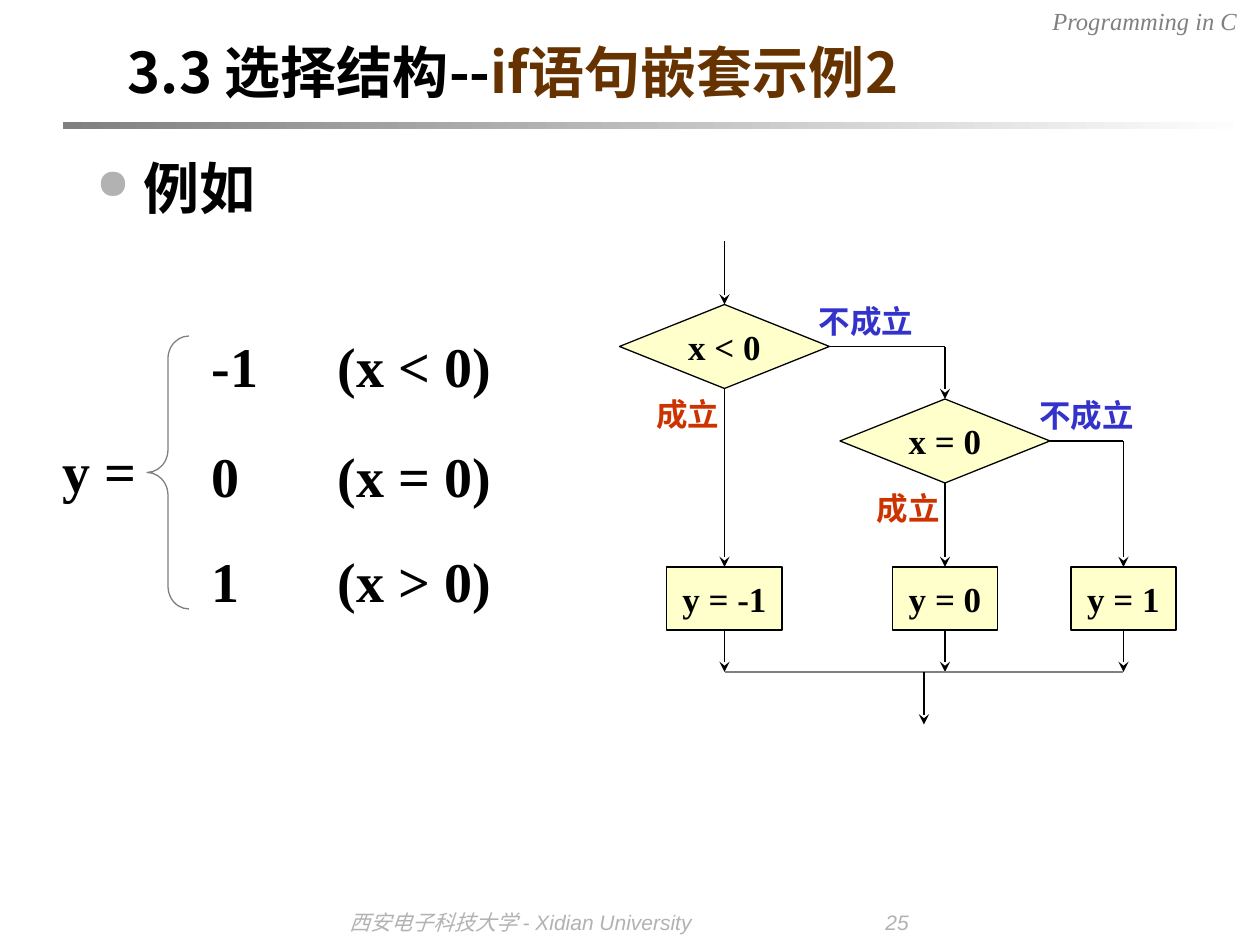
from dataclasses import dataclass

from lxml import etree
from pptx import Presentation
from pptx.dml.color import RGBColor
from pptx.enum.dml import MSO_THEME_COLOR
from pptx.enum.shapes import MSO_CONNECTOR, MSO_SHAPE
from pptx.enum.text import MSO_ANCHOR, PP_ALIGN
from pptx.oxml.ns import qn
from pptx.util import Pt

LEFT, MID, RIGHT = PP_ALIGN.LEFT, PP_ALIGN.CENTER, PP_ALIGN.RIGHT
CENTER = MSO_ANCHOR.MIDDLE
RECT, RHOMB, BRACE = MSO_SHAPE.RECTANGLE, MSO_SHAPE.DIAMOND, MSO_SHAPE.LEFT_BRACE
LINE = MSO_CONNECTOR.STRAIGHT


@dataclass(frozen=True)
class Theme:
    ink: str = "000000"
    gray: str = "808080"
    pale: str = "B2B2B2"
    white: str = "FFFFFF"
    brown: str = "663300"
    cream: str = "FFFFCC"
    red: str = "CC3300"
    blue: str = "3333CC"
    serif: str = "Times New Roman"
    sans: str = "Arial"
    han: str = "Noto Sans CJK SC"
    big: int = 32
    node: int = 20
    label: int = 18
    head: int = 14
    foot: int = 12
    rule: float = 0.75


T = Theme()


def rgb(hue):
    return RGBColor.from_string(hue)


def add(root, tag, **attrs):
    return etree.SubElement(root, qn(tag), attrs)


def style(para, size, hue, face=T.serif, bold=True, slant=False):
    font = para.font
    font.size, font.name = Pt(size), face
    font.bold, font.italic = bold, slant
    font.color.rgb = rgb(hue)
    for run in para.runs:
        add(run._r.get_or_add_rPr(), "a:ea", typeface=T.han)


def text(slide, box, words, size, hue, align=LEFT, side=7.2, tab=None, **look):
    frame = slide.shapes.add_textbox(*map(Pt, box)).text_frame
    frame.word_wrap = True
    frame.margin_left = frame.margin_right = Pt(side)
    para = frame.paragraphs[0]
    para.alignment = align
    for word in words:
        para.add_run().text = word
    if tab:
        stops = add(para._p.get_or_add_pPr(), "a:tabLst")
        add(stops, "a:tab", pos=str(Pt(tab)), algn="l")
    style(para, size, hue, **look)
    return frame


def bullet(slide, box, word):
    para = text(slide, box, [], T.big, T.ink).paragraphs[0]
    props = para._p.get_or_add_pPr()
    for child in list(props):
        props.remove(child)
    props.set("marL", str(Pt(27)))
    props.set("indent", str(Pt(-27)))
    add(add(props, "a:buClr"), "a:srgbClr", val=T.pale)
    add(props, "a:buSzPct", val="75000")
    add(props, "a:buChar", char="●")
    para.add_run().text = word
    style(para, T.big, T.ink, T.han)


def shape(slide, kind, box):
    item = slide.shapes.add_shape(kind, *map(Pt, box))
    item.shadow.inherit = False
    return item


def band(slide, box):
    item = shape(slide, RECT, box)
    item.line.fill.background()
    item.fill.gradient()
    item.fill.gradient_angle = 0
    for stop, hue, place in zip(item.fill.gradient_stops, (T.gray, T.white), (0, 1)):
        stop.color.rgb = rgb(hue)
        stop.position = place


def brace(slide, box):
    item = shape(slide, BRACE, box)
    item.adjustments[0] = 0.54
    item.fill.background()
    item.line.color.rgb = rgb(T.gray)
    item.line.width = Pt(T.rule)


def node(slide, kind, x, y, wide, high, word):
    item = shape(slide, kind, (x - wide / 2, y, wide, high))
    item.fill.solid()
    item.fill.fore_color.rgb = rgb(T.cream)
    item.line.color.rgb = rgb(T.ink)
    item.line.width = Pt(T.rule)
    frame = item.text_frame
    frame.word_wrap = False
    frame.vertical_anchor = CENTER
    para = frame.paragraphs[0]
    para.alignment = MID
    para.add_run().text = word
    style(para, T.node, T.ink)


def line(slide, x, y, end, low, hue=T.ink, arrow=True):
    item = slide.shapes.add_connector(LINE, Pt(x), Pt(y), Pt(end), Pt(low))
    item.line.color.rgb = rgb(hue)
    item.line.width = Pt(T.rule)
    if arrow:
        add(item.line._get_or_add_ln(), "a:tailEnd", type="stealth")
    add(item._element.spPr, "a:effectLst")


def frame(slide):
    text(slide, (492, 0, 222, 24.5), ["Programming in C"], T.head, T.gray,
         RIGHT, bold=False, slant=True)
    foot = text(slide, (0, 516, 720, 24), ["西安电子科技大学 ", "- Xidian University\t25"],
                T.foot, T.pale, tab=306, face=T.sans, bold=False, slant=True)
    foot.margin_left = Pt(200)
    foot.paragraphs[0].runs[0].font.name = T.serif
    band(slide, (36, 70, 680, 3.5))
    title = text(slide, (66, 18, 612, 48), ["3.3 选择结构--", "if语句嵌套示例2"],
                 T.big, T.ink, face=T.han)
    title.paragraphs[0].runs[1].font.color.rgb = rgb(T.brown)
    bullet(slide, (48, 84, 642, 66), "例如")


def cases(slide):
    text(slide, (24, 246, 66, 46), ["y ="], T.big, T.ink, MID)
    rows = (186, "-1\t(x < 0)"), (248.5, "0\t(x = 0)"), (308.5, "1\t(x > 0)")
    for y, word in rows:
        text(slide, (114, y, 312, 46), [word], T.big, T.ink, tab=72)
    brace(slide, (84, 192, 24, 156))


def chart(slide):
    cols = 414, 540, 642
    tops = 174, 228
    wide, high, base, join = 120, 48, 324, 384
    line(slide, cols[0], 138, cols[0], tops[0])
    for i, (y, word) in enumerate(zip(tops, ("x < 0", "x = 0"))):
        x, end, mid = cols[i], cols[i + 1], y + high / 2
        line(slide, x, y + high, x, base)
        line(slide, x + wide / 2, mid, end, mid, arrow=False)
        line(slide, end, mid, end, (tops + (base,))[i + 1])
        text(slide, (x - 42, y + high, 42, 29), ["成立"], T.label, T.red, MID, 0)
        text(slide, (x + 48, y - 5, 66, 29), ["不成立"], T.label, T.blue, MID, 0)
        node(slide, RHOMB, x, y, wide, high, word)
    for x, size, word in zip(cols, (66, 60, 60), ("y = -1", "y = 0", "y = 1")):
        node(slide, RECT, x, base, size, 36, word)
        line(slide, x, base + 36, x, join)
    line(slide, cols[0], join, cols[-1], join, T.gray, False)
    line(slide, 528, join, 528, 414)


def main():
    deck = Presentation()
    deck.slide_width, deck.slide_height = Pt(720), Pt(540)
    slide = deck.slides.add_slide(deck.slide_layouts[6])
    frame(slide)
    cases(slide)
    chart(slide)
    deck.save("out.pptx")


if __name__ == "__main__":
    main()
